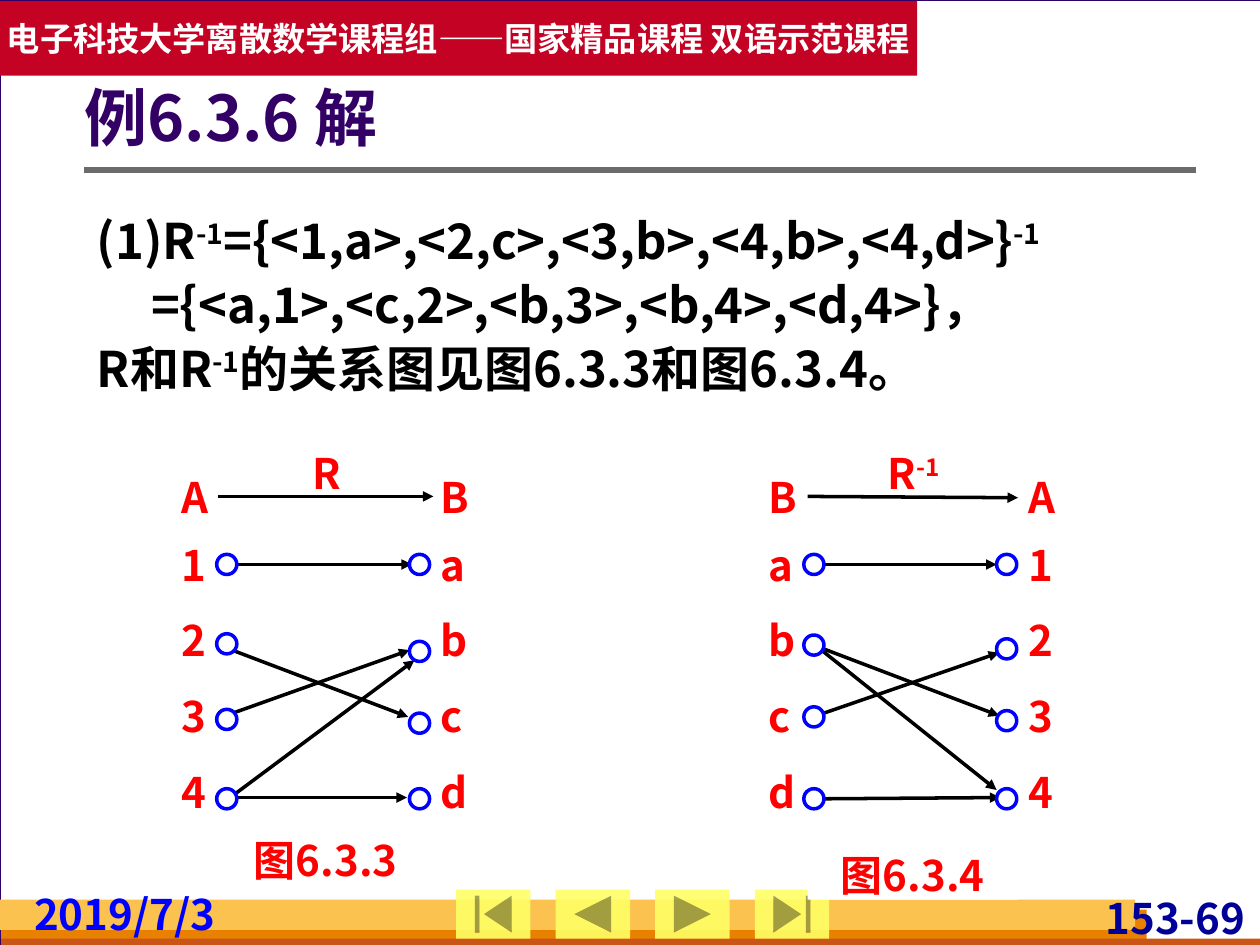
import pptx
import pptx.util
import pptx.dml.color
import pptx.enum.shapes
import pptx.enum.text
import pptx.oxml.ns
from lxml import etree

RGB = pptx.dml.color.RGBColor
Inches = pptx.util.Inches
Pt = pptx.util.Pt
KIND = pptx.enum.shapes.MSO_SHAPE
ALIGN = pptx.enum.text.PP_ALIGN
FACE = "Noto Sans CJK SC"
WHITE = RGB(0xFF, 0xFF, 0xFF)
BLACK = RGB(0, 0, 0)
RED = RGB(0xFF, 0, 0)
BLUE = RGB(0, 0, 0xFF)
NAVY = RGB(0, 0, 0x99)
PURPLE = RGB(0x33, 0, 0x66)
CRIMSON = RGB(0xC3, 0x02, 0x24)
ORANGE = RGB(0xE8, 0x80, 0)
RUST = RGB(0xC9, 0x56, 0x16)
AMBER = RGB(0xFC, 0xC2, 0x4F)
GREY = RGB(0x6B, 0x6B, 0x6B)
PALE = RGB(0xD8, 0xDA, 0xDA)
YELLOW = RGB(0xFF, 0xFF, 0x66)


def add_tag(node, tag, **attrs):
    """Append a drawing element to a node."""
    return etree.SubElement(node, pptx.oxml.ns.qn(tag), attrs)


def set_all(item, style):
    """Set each attribute named in a dict of format values."""
    for name, value in style.items():
        setattr(item, name, value)


def add_shape(slide, kind, box, fill, line=None, width=1):
    """Add a filled preset shape, with an outline if a line colour is given."""
    shape = slide.shapes.add_shape(kind, *map(Inches, box))
    shape.shadow.inherit = False
    shape.fill.solid()
    shape.fill.fore_color.rgb = fill
    if line is None:
        shape.line.fill.background()
    else:
        shape.line.color.rgb = line
        shape.line.width = Pt(width)
    return shape


def add_box(slide, box):
    """Add an empty text box."""
    return slide.shapes.add_textbox(*map(Inches, box))


def put_text(shape, lines, size, color, align=ALIGN.LEFT, pad=(0, 0, 0, 0),
             wrap=True, gap=0, indents=()):
    """Fill a shape with lines; text after each ^ and up to the next is raised."""
    frame = shape.text_frame
    sides = ("margin_left", "margin_top", "margin_right", "margin_bottom")
    set_all(frame, dict(zip(sides, map(Inches, pad))))
    set_all(frame, {"word_wrap": wrap,
                    "vertical_anchor": pptx.enum.text.MSO_ANCHOR.MIDDLE})
    for row, line in enumerate(lines):
        para = frame.add_paragraph() if row else frame.paragraphs[0]
        set_all(para, {"alignment": align, "space_before": Pt(gap if row else 0)})
        if row < len(indents):
            para._p.get_or_add_pPr().set("marL", str(Inches(indents[row])))
        for index, part in enumerate(line.split("^")):
            run = para.add_run()
            run.text = part
            set_all(run.font, {"size": Pt(size), "bold": True, "name": FACE})
            run.font.color.rgb = color
            props = run._r.get_or_add_rPr()
            add_tag(props, "a:ea", typeface=FACE)
            if index % 2:
                props.set("baseline", "30000")


def add_line(slide, start, end, color=BLACK, width=2, arrow=True):
    """Add a straight line, with an arrowhead at its end if wanted."""
    line = slide.shapes.add_connector(
        pptx.enum.shapes.MSO_CONNECTOR.STRAIGHT, *map(Inches, start + end))
    line.line.color.rgb = color
    line.line.width = Pt(width)
    if arrow:
        add_tag(line.line._get_or_add_ln(), "a:tailEnd", type="triangle")
    add_tag(line._element.spPr, "a:effectLst")


def add_frame(slide):
    """Draw the page, the header, the footer bars and the buttons."""
    slide.background.fill.solid()
    slide.background.fill.fore_color.rgb = PALE
    add_shape(slide, KIND.RECTANGLE, (0, 0, 10.01, 7.5), WHITE, PURPLE, 0.75)
    head = add_shape(slide, KIND.RECTANGLE, (0, 0.01, 7.28, 0.59), CRIMSON)
    put_text(head, ["电子科技大学离散数学课程组——国家精品课程 双语示范课程"],
             19, WHITE, ALIGN.CENTER, wrap=False)
    for box, fill in (((0.01, 7.22, 9.09, 0.28), ORANGE),
                      ((0.01, 7.45, 10, 0.08), RUST),
                      ((0, 7.14, 9.01, 0.24), AMBER)):
        add_shape(slide, KIND.RECTANGLE, box, fill)
    put_text(add_box(slide, (8.47, 7.08, 1.45, 0.4)), ["153-69"], 24, NAVY,
             ALIGN.RIGHT, (0.04, 0, 0.04, 0))
    add_line(slide, (0.67, 1.35), (9.49, 1.35), GREY, 3, False)
    kinds = (KIND.ACTION_BUTTON_BEGINNING, KIND.ACTION_BUTTON_BACK_OR_PREVIOUS,
             KIND.ACTION_BUTTON_FORWARD_OR_NEXT, KIND.ACTION_BUTTON_END)
    for index, kind in enumerate(kinds):
        button = add_shape(slide, kind, (3.62 + 0.79 * index, 7.06, 0.59, 0.39), YELLOW)
        tint = button._element.spPr.find(".//" + pptx.oxml.ns.qn("a:srgbClr"))
        add_tag(tint, "a:alpha", val="90000")
    put_text(add_box(slide, (0.23, 7.05, 1.65, 0.4)), ["2019/7/3"], 24, BLUE,
             pad=(0.04, 0, 0.04, 0))


def add_graph(slide, left, names, title, caption, arrows, dots):
    """Draw one relation graph: names, arrows and two columns of dots."""
    for side, column in enumerate(names):
        for name, top in zip(column, (3.74, 4.28, 4.88, 5.48, 6.08)):
            box = add_box(slide, (left + 2.06 * side, top, 0.24, 0.4))
            put_text(box, [name], 24, RED)
    for text, (x, y, width) in (title, caption):
        shape = add_shape(slide, KIND.RECTANGLE, (left + x, y, width, 0.4), WHITE)
        put_text(shape, [text], 24, RED, ALIGN.CENTER)
    for x1, y1, x2, y2 in arrows:
        add_line(slide, (left + x1, y1), (left + x2, y2))
    for side, column in enumerate(dots):
        for top in column:
            add_shape(slide, KIND.OVAL, (left + 0.28 + 1.53 * side, top, 0.16, 0.16),
                      WHITE, BLUE, 2)


def main():
    """Build the slide and save it."""
    deck = pptx.Presentation()
    set_all(deck, {"slide_width": Inches(10), "slide_height": Inches(7.5)})
    slide = deck.slides.add_slide(deck.slide_layouts[6])
    add_frame(slide)
    put_text(add_box(slide, (0.67, 0.6, 8.82, 0.64)), ["例6.3.6 解"], 36, PURPLE,
             pad=(0, 0.05, 0.1, 0.05))
    put_text(add_box(slide, (0.67, 1.47, 8.82, 1.88)),
             ["(1)R^-1^={<1,a>,<2,c>,<3,b>,<4,b>,<4,d>}^-1",
              "={<a,1>,<c,2>,<b,3>,<b,4>,<d,4>}，",
              "R和R^-1^的关系图见图6.3.3和图6.3.4。"],
             28, BLACK, ALIGN.JUSTIFY, (0.1, 0.05, 0.1, 0.05), gap=2.8,
             indents=(0, 0.43, 0))
    add_graph(slide, 1.44, ("A1234", "Babcd"),
              ("R", (1.03, 3.55, 0.24)), ("图6.3.3", (0.31, 6.62, 1.67)),
              ((0.29, 3.94, 2, 3.94), (0.38, 4.48, 1.83, 4.48),
               (0.35, 5.14, 1.8, 5.69), (0.38, 5.67, 1.81, 5.16),
               (0.36, 6.35, 1.85, 5.24), (0.38, 6.33, 1.79, 6.33)),
              ((4.4, 5.03, 5.63, 6.26), (4.4, 5.09, 5.66, 6.26)))
    add_graph(slide, 6.1, ("Babcd", "A1234"),
              ("R^-1", (0.83, 3.55, 0.64)), ("图6.3.4", (0.31, 6.74, 1.67)),
              ((0.31, 3.94, 1.98, 3.95), (0.42, 4.48, 1.81, 4.48),
               (0.41, 5.14, 1.83, 5.68), (0.37, 5.12, 1.81, 6.27),
               (0.41, 5.67, 1.83, 5.18), (0.42, 6.34, 1.84, 6.33)),
              ((4.4, 5.04, 5.61, 6.26), (4.4, 5.07, 5.64, 6.26)))
    deck.save("out.pptx")


if __name__ == "__main__":
    main()
